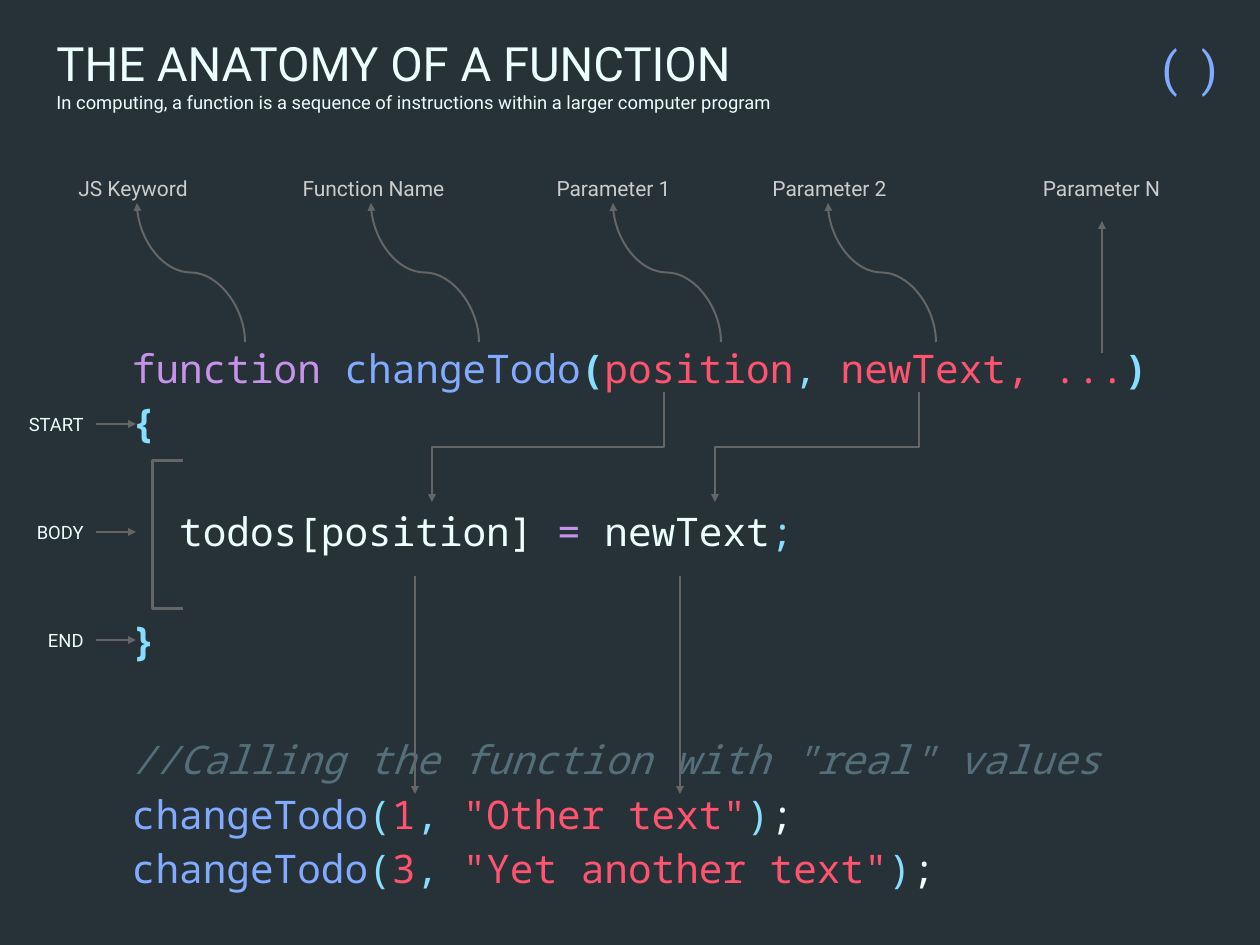
from dataclasses import dataclass

from lxml.etree import SubElement
from pptx import Presentation
from pptx.dml.color import RGBColor
from pptx.enum.shapes import MSO_CONNECTOR as LINK
from pptx.enum.text import MSO_ANCHOR as ANCHOR, MSO_AUTO_SIZE as FIT, PP_ALIGN as ALIGN
from pptx.oxml.ns import qn
from pptx.util import Emu, Pt

SCALE = 914400 / 94.5


@dataclass(frozen=True)
class Theme:
    """Colours, fonts and type sizes of the slide."""
    back: str = "263238"
    light: str = "EEFFFF"
    label: str = "CCCCCC"
    rule: str = "666666"
    keyword: str = "C792EA"
    name: str = "82AAFF"
    mark: str = "89DDFF"
    value: str = "FF5370"
    remark: str = "546E7A"
    sans: str = "Roboto"
    mono: str = "Noto Sans Mono"
    title: int = 36
    code: int = 30
    note: int = 16
    small: int = 14


T = Theme()


def px(n):
    """Turn picture pixels into EMU."""
    return Emu(round(n * SCALE))


def rgb(value):
    """Turn a hex string into a colour."""
    return RGBColor.from_string(value)


def set_font(font, name, size, color):
    """Give a font its face, size and colour."""
    font.name, font.size = name, Pt(size)
    font.color.rgb = rgb(color)


def set_frame(tf, anchor=ANCHOR.MIDDLE, inset=9.45):
    """Set wrapping, anchor and equal insets of a text frame."""
    tf.word_wrap, tf.auto_size, tf.vertical_anchor = True, FIT.NONE, anchor
    tf.margin_left = tf.margin_top = tf.margin_right = tf.margin_bottom = px(inset)


def add_title(slide, title, subtitle):
    """Fill the title placeholder with a heading and a smaller line."""
    sp = slide.shapes.title
    sp.left, sp.top, sp.width, sp.height = map(px, (47, 26, 1158, 95))
    tf = sp.text_frame
    tf.text = f"{title}\n{subtitle}"
    set_frame(tf)
    for p, size in zip(tf.paragraphs, (T.title, T.small)):
        p.alignment = ALIGN.LEFT
        set_font(p.font, T.sans, size, T.light)


def add_label(slide, text, box, size, color, align=ALIGN.CENTER):
    """Add a one-line label."""
    sp = slide.shapes.add_textbox(*map(px, box))
    tf = sp.text_frame
    set_frame(tf)
    p = tf.paragraphs[0]
    p.text, p.alignment = text, align
    set_font(p.font, T.sans, size, color)


def add_code(slide, box, lines):
    """Add code lines, each given as (runs, gap before, indent, line spacing)."""
    tf = slide.shapes.add_textbox(*map(px, box)).text_frame
    set_frame(tf, ANCHOR.TOP, 0)
    for i, (runs, gap, indent, spacing) in enumerate(lines):
        p = tf.add_paragraph() if i else tf.paragraphs[0]
        p.line_spacing, p.space_before = spacing, Pt(gap)
        p.font.name, p.font.size = T.mono, Pt(T.code)
        if indent:
            p._p.get_or_add_pPr().set("marL", str(Pt(indent)))
        for text, color, *style in runs:
            r = p.add_run()
            r.text = text
            set_font(r.font, T.mono, T.code, color)
            r.font.bold, r.font.italic = "bold" in style, "italic" in style


def add_arrow(slide, start, end, kind=LINK.STRAIGHT):
    """Add an arrow; bent and curved ones leave and arrive vertically."""
    (x1, y1), (x2, y2) = start, end
    turned = kind != LINK.STRAIGHT
    if turned:
        cx, cy, dx, dy = (x1 + x2) / 2, (y1 + y2) / 2, (x2 - x1) / 2, (y2 - y1) / 2
        x1, y1, x2, y2 = cx - dy, cy + dx, cx + dy, cy - dx
    c = slide.shapes.add_connector(kind, *map(px, (x1, y1, x2, y2)))
    c.line.color.rgb, c.line.width = rgb(T.rule), Pt(1.5)
    props = c._element.spPr
    if turned:
        props.find(qn("a:xfrm")).set("rot", "5400000")
    SubElement(props.find(qn("a:ln")), qn("a:tailEnd"), type="triangle")
    SubElement(props, qn("a:effectLst"))


def add_bracket(slide, left, top, right, bottom):
    """Add an open square bracket."""
    pen = slide.shapes.build_freeform(px(right), px(bottom))
    points = [(left, bottom), (left, top), (right, top)]
    pen.add_line_segments([(px(x), px(y)) for x, y in points], close=False)
    sp = pen.convert_to_shape()
    sp.shadow.inherit = False
    sp.fill.background()
    sp.line.color.rgb, sp.line.width = rgb(T.rule), Pt(2.25)


def call_line(number, text):
    """Return the runs of one call of the function."""
    return [("changeTodo", T.name), ("(", T.mark), (number, T.value), (", ", T.mark),
            (f'"{text}"', T.value), (")", T.mark), (";", T.light)]


def code_lines():
    """Return the code with its gaps, indents and line spacing."""
    gap = 41.5
    head = [("function ", T.keyword), ("changeTodo", T.name), ("(", T.mark, "bold"),
            ("position", T.value), (", ", T.mark), ("newText, ...", T.value),
            (")", T.mark, "bold")]
    body = [("todos[position] ", T.light), ("=", T.keyword), (" newText", T.light),
            (";", T.mark)]
    remark = [('//Calling the function with "real" values', T.remark, "italic")]
    return [(head, 0, 0, 1.15),
            ([("{", T.mark, "bold")], 0, 0, 1.15),
            (body, gap, 36, 1.15),
            ([("}", T.mark, "bold")], gap, 0, 1.15),
            (remark, gap, 0, 1.38),
            (call_line("1", "Other text"), 0, 0, 1.15),
            (call_line("3", "Yet another text"), 0, 0, 1.15)]


def main():
    """Build the slide and save it."""
    prs = Presentation()
    prs.slide_width, prs.slide_height = px(1260), px(945)
    slide = prs.slides.add_slide(prs.slide_layouts[5])
    slide.background.fill.solid()
    slide.background.fill.fore_color.rgb = rgb(T.back)

    add_title(slide, "THE ANATOMY OF A FUNCTION",
              "In computing, a function is a sequence of instructions "
              "within a larger computer program")
    add_label(slide, "(  )", (1135, 31, 92, 74), T.title, T.name, ALIGN.RIGHT)
    add_code(slide, (132, 337, 1054, 601), code_lines())

    parts = [("JS Keyword", 55, 156, 137), ("Function Name", 276, 195, 371),
             ("Parameter 1", 530, 167, 613), ("Parameter 2", 746, 167, 828)]
    for text, left, width, x in parts:
        add_label(slide, text, (left, 167, width, 43), T.note, T.label)
        add_arrow(slide, (x + 108, 342), (x, 203), LINK.CURVE)
    add_label(slide, "Parameter N", (1018, 167, 167, 43), T.note, T.label)
    add_arrow(slide, (1102, 353), (1102, 221))

    for x1, x2 in ((664, 432), (919, 715)):
        add_arrow(slide, (x1, 392), (x2, 502), LINK.ELBOW)
    for x in (415, 680):
        add_arrow(slide, (x, 576), (x, 794))

    for i, text in enumerate(("START", "BODY", "END")):
        y = 424 + 108 * i
        add_label(slide, text, (14, y - 20, 79, 40), T.small, T.light, ALIGN.RIGHT)
        add_arrow(slide, (96, y), (136, y))
    add_bracket(slide, 153, 461, 183, 609)

    prs.save("out.pptx")


main()
